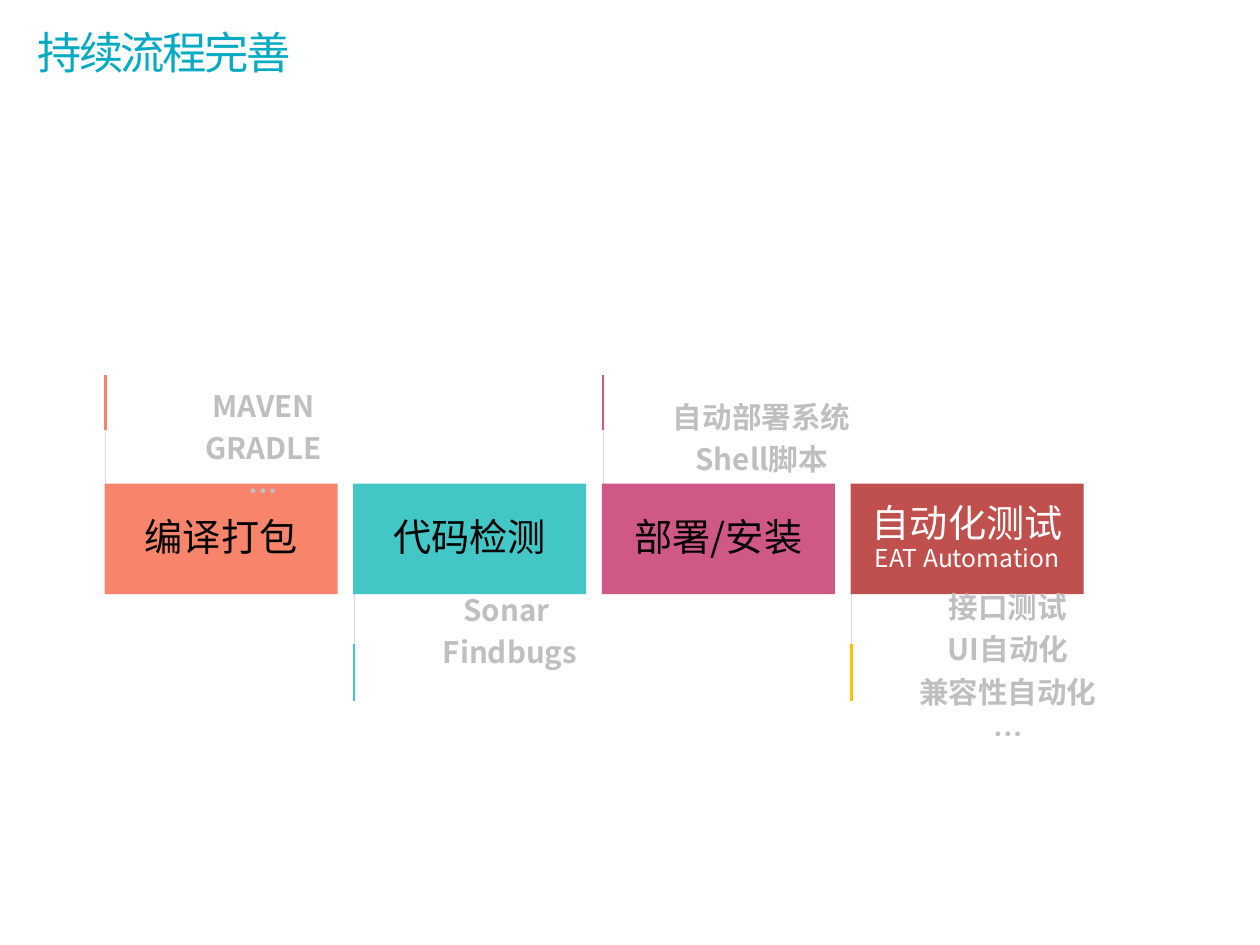
from lxml.etree import SubElement
from pptx import Presentation
from pptx.dml.color import RGBColor
from pptx.enum.shapes import MSO_CONNECTOR as Link, MSO_SHAPE as Kind
from pptx.enum.text import MSO_ANCHOR as Anchor, MSO_AUTO_SIZE as Fit, PP_ALIGN as Align
from pptx.oxml.ns import qn
from pptx.util import Inches, Pt


def color(code):
    return RGBColor.from_string(code)


class Page:
    """Draw styled elements on one slide."""

    face = "Noto Sans CJK SC"

    def __init__(self, slide):
        self.shapes = slide.shapes

    def label(self, shape, lines, sizes, ink, inset, space, align=Align.CENTER,
              anchor=Anchor.MIDDLE, bold=False, track=0):
        frame = shape.text_frame
        frame.word_wrap = True
        frame.vertical_anchor = anchor
        frame.margin_left = frame.margin_right = Inches(inset)
        frame.margin_top = frame.margin_bottom = Inches(inset)
        frame.text = "\n".join(lines)
        for para, size in zip(frame.paragraphs, sizes):
            para.alignment = align
            para.line_spacing = space
            for run in para.runs:
                font = run.font
                font.name, font.size, font.bold = self.face, Pt(size), bold
                font.color.rgb = color(ink)
                props = run._r.get_or_add_rPr()
                SubElement(props, qn("a:ea")).set("typeface", self.face)
                if track:
                    props.set("spc", str(track * 100))

    def line(self, x, start, end, ink, width):
        wire = self.shapes.add_connector(
            Link.STRAIGHT, Inches(x), Inches(start), Inches(x), Inches(end))
        wire.line.color.rgb = color(ink)
        wire.line.width = Pt(width)
        SubElement(wire._element.spPr, qn("a:effectLst"))

    def block(self, x, y, w, h, fill, lines, ink):
        box = self.shapes.add_shape(
            Kind.RECTANGLE, Inches(x), Inches(y), Inches(w), Inches(h))
        box.shadow.inherit = False
        box.fill.solid()
        box.fill.fore_color.rgb = color(fill)
        box.line.fill.background()
        self.label(box, lines, (31, 20), ink, 0.05, 0.9)

    def text(self, x, y, w, h):
        return self.shapes.add_textbox(Inches(x), Inches(y), Inches(w), Inches(h))

    def note(self, x, y, h, lines, anchor):
        box = self.text(x, y, 3.55, h)
        self.label(box, lines, [24] * len(lines), "BFBFBF", 0.07, 1.2,
                   anchor=anchor, bold=True)
        box.text_frame.auto_size = Fit.SHAPE_TO_FIT_TEXT

    def title(self, words):
        box = self.text(0.42, 0, 13.39, 1.31)
        self.label(box, [words], [36], "03AAC1", 0, 0.7, align=Align.LEFT, track=-2)


STEPS = [
    (["编译打包"], "F8846B", "000000", "F8846B",
     (1.2, 4.23, 1.51, ["MAVEN", "GRADLE", "…"])),
    (["代码检测"], "42C7C6", "000000", "42C7C6",
     (3.98, 6.61, 1.02, ["Sonar ", "Findbugs"])),
    (["部署/安装"], "D05886", "000000", "D05886",
     (6.82, 4.35, 0.95, ["自动部署系统", "Shell脚本"])),
    (["自动化测试", "EAT Automation"], "C0504D", "FFFFFF", "FFC000",
     (9.6, 6.7, 1.86, ["接口测试", "UI自动化", "兼容性自动化", "…"])),
]
UP = (5.47, 4.84, 4.86, 4.23, Anchor.TOP)
DOWN = (6.66, 7.3, 7.27, 7.91, Anchor.BOTTOM)


def main():
    deck = Presentation()
    deck.slide_width, deck.slide_height = Inches(14.22), Inches(10.67)
    page = Page(deck.slides.add_slide(deck.slide_layouts[6]))
    lefts = [1.18 + 8.42 * i / 3 for i in range(len(STEPS))]
    sides = [DOWN if i % 2 else UP for i in range(len(STEPS))]

    for left, side in zip(lefts, sides):
        page.line(left + 0.01, side[0], side[1], "D9D9D9", 0.25)
    for left, side, step in zip(lefts, sides, STEPS):
        lines, fill, ink, mark, note = step
        page.block(left, 5.46, 2.63, 1.25, fill, lines, ink)
        page.line(left + 0.01, side[2], side[3], mark, 2)
    for side, step in zip(sides, STEPS):
        page.note(*step[-1], side[-1])
    page.title("持续流程完善")
    deck.save("out.pptx")


if __name__ == "__main__":
    main()
